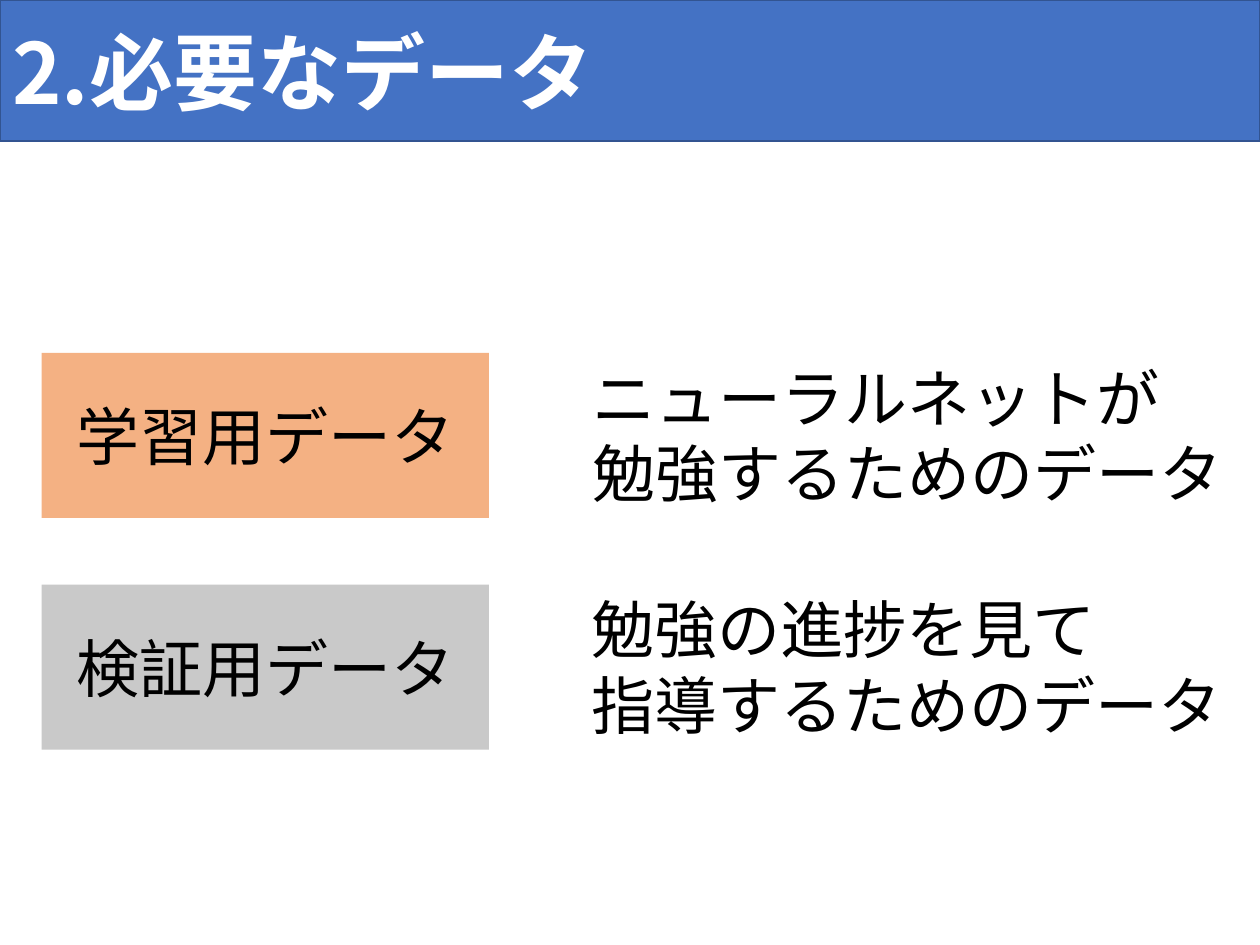
from dataclasses import dataclass
from typing import Optional

from lxml.etree import SubElement
from pptx import Presentation
from pptx.dml.color import RGBColor
from pptx.enum.shapes import MSO_SHAPE
from pptx.enum.text import MSO_ANCHOR, MSO_AUTO_SIZE, PP_ALIGN
from pptx.oxml.ns import qn
from pptx.shapes.autoshape import Shape
from pptx.slide import Slide
from pptx.util import Inches, Pt


@dataclass(frozen=True)
class Theme:
    font: str = "Noto Sans CJK JP"
    title_size: int = 48
    body_size: int = 36
    banner: str = "4472C4"
    banner_edge: str = "325491"
    training: str = "F4B183"
    validation: str = "C9C9C9"
    light: str = "FFFFFF"
    dark: str = "000000"


@dataclass(frozen=True)
class DataKind:
    label: str
    fill: str
    purpose: str
    purpose_width: float
    wrap: bool


THEME = Theme()
# "\v" breaks a line, "\n" starts a paragraph
DATA_KINDS = [
    DataKind("学習用データ", THEME.training,
             "ニューラルネットが\v勉強するためのデータ", 5.25, False),
    DataKind("検証用データ", THEME.validation,
             "勉強の進捗を見て\n指導するためのデータ", 5.4, True),
]
FIRST_TOP, ROW_PITCH, ROW_HEIGHT = 2.8, 1.84, 1.31
LABEL_LEFT, LABEL_WIDTH, PURPOSE_LEFT = 0.33, 3.55, 4.6


def write_text(shape: Shape, text: str, size: int, color: str,
               align: PP_ALIGN = PP_ALIGN.LEFT, bold: bool = False) -> None:
    shape.text_frame.text = text
    font_format = {"name": THEME.font, "size": Pt(size), "bold": bold}
    for paragraph in shape.text_frame.paragraphs:
        paragraph.alignment = align
        for run in paragraph.runs:
            for attribute, value in font_format.items():
                setattr(run.font, attribute, value)
            run.font.color.rgb = RGBColor.from_string(color)
            # Japanese glyphs take the East Asian typeface
            SubElement(run.font._element, qn("a:ea"), typeface=THEME.font)


def add_block(slide: Slide, left: float, top: float, width: float,
              height: float, fill: str, edge: Optional[str] = None) -> Shape:
    block = slide.shapes.add_shape(
        MSO_SHAPE.RECTANGLE, Inches(left), Inches(top), Inches(width), Inches(height))
    block.shadow.inherit = False
    block.fill.solid()
    block.fill.fore_color.rgb = RGBColor.from_string(fill)
    if edge:
        block.line.color.rgb = RGBColor.from_string(edge)
        block.line.width = Pt(1)
    else:
        block.line.fill.background()
    block.text_frame.vertical_anchor = MSO_ANCHOR.MIDDLE
    return block


def add_data_row(slide: Slide, kind: DataKind, top: float) -> None:
    label = add_block(slide, LABEL_LEFT, top, LABEL_WIDTH, ROW_HEIGHT, kind.fill)
    write_text(label, kind.label, THEME.body_size, THEME.dark, PP_ALIGN.CENTER)

    purpose = slide.shapes.add_textbox(
        Inches(PURPOSE_LEFT), Inches(top), Inches(kind.purpose_width), Inches(ROW_HEIGHT))
    frame_format = {"word_wrap": kind.wrap, "auto_size": MSO_AUTO_SIZE.SHAPE_TO_FIT_TEXT}
    for attribute, value in frame_format.items():
        setattr(purpose.text_frame, attribute, value)
    write_text(purpose, kind.purpose, THEME.body_size, THEME.dark)


def main() -> None:
    deck = Presentation()
    deck.slide_width, deck.slide_height = Inches(10), Inches(7.5)
    slide = deck.slides.add_slide(deck.slide_layouts[6])

    # Title banner
    banner = add_block(slide, 0, 0, 10, 1.12, THEME.banner, THEME.banner_edge)
    write_text(banner, "2.必要なデータ", THEME.title_size, THEME.light, bold=True)

    # One row per kind of data
    for index, kind in enumerate(DATA_KINDS):
        add_data_row(slide, kind, FIRST_TOP + index * ROW_PITCH)

    deck.save("out.pptx")


if __name__ == "__main__":
    main()
